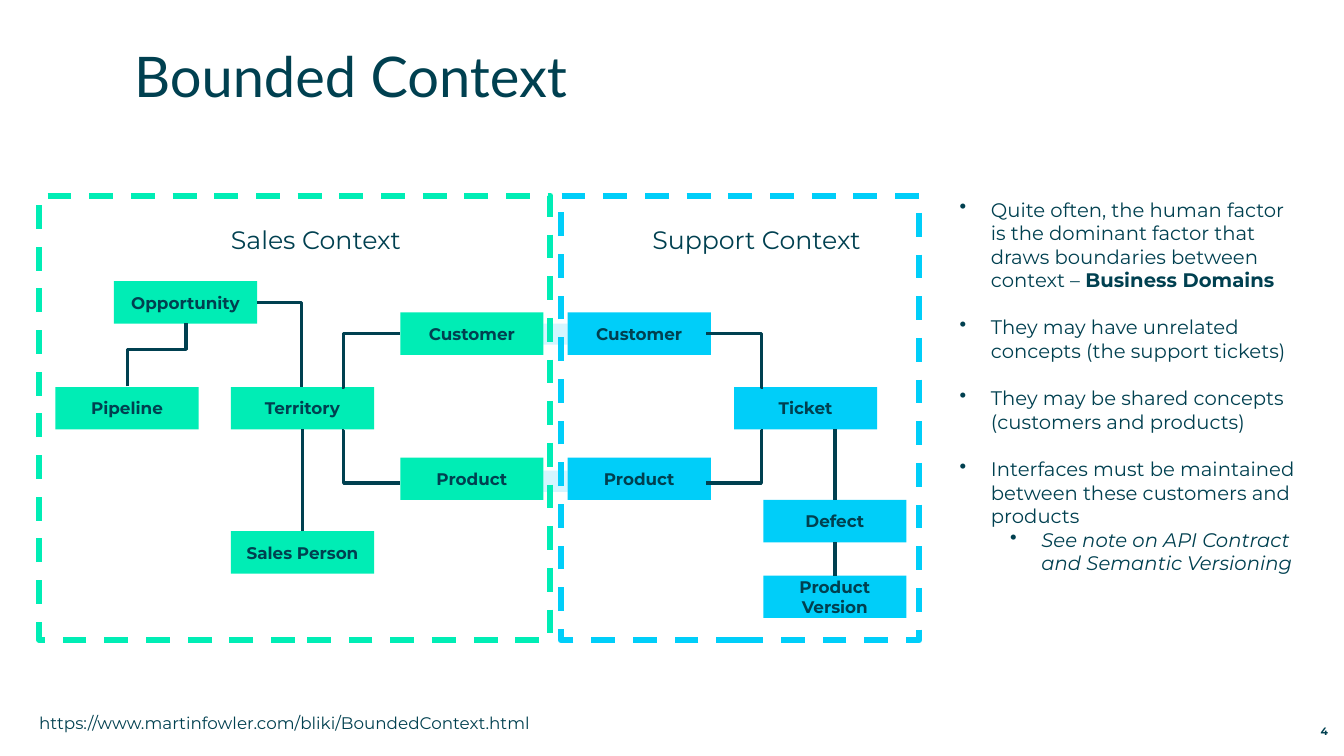
"""Builds the Bounded Context slide with its two context maps."""
import pptx
import pptx.dml.color
import pptx.enum.dml
import pptx.enum.shapes
import pptx.enum.text
import pptx.oxml
import pptx.oxml.ns
import pptx.util

PX = 9144
INK, SALES, SUPPORT, BRIDGE = "004050", "00EDB5", "00CEF9", "D4F6FF"
BOX_W, BOX_H = 142, 42
ALIGN = pptx.enum.text.PP_ALIGN
ANCHOR = pptx.enum.text.MSO_ANCHOR
CONNECTOR = pptx.enum.shapes.MSO_CONNECTOR


def px(*lengths):
    return [length * PX for length in lengths]


def rgb(value):
    return pptx.dml.color.RGBColor.from_string(value)


class ContextSlide:
    def __init__(self, slide, font="Montserrat", ink=INK):
        self.slide, self.font, self.ink = slide, font, ink

    def run(self, paragraph, text, size, bold=False, italic=False, font=None):
        run = paragraph.add_run()
        run.text = text
        run.font.name = font or self.font
        run.font.size = pptx.util.Pt(size)
        run.font.bold, run.font.italic = bold, italic
        run.font.color.rgb = rgb(self.ink)

    def frame(self, shape, inset=True, wrap=True, anchor=ANCHOR.TOP):
        frame = shape.text_frame
        frame.word_wrap, frame.vertical_anchor = wrap, anchor
        frame.auto_size = pptx.enum.text.MSO_AUTO_SIZE.NONE
        if not inset:
            frame.margin_left = frame.margin_right = 0
            frame.margin_top = frame.margin_bottom = 0
        return frame

    def title(self, text, left, top, width, height):
        title = self.slide.shapes.title
        title.left, title.top, title.width, title.height = px(left, top, width, height)
        paragraph = self.frame(title, inset=False).paragraphs[0]
        paragraph.alignment = ALIGN.LEFT
        self.run(paragraph, text, 40, font="Lato")

    def text(self, text, left, top, width, height, size, align=ALIGN.LEFT, bold=False, **frame):
        box = self.slide.shapes.add_textbox(*px(left, top, width, height))
        paragraph = self.frame(box, **frame).paragraphs[0]
        paragraph.alignment = align
        self.run(paragraph, text, size, bold)

    def rect(self, left, top, width, height, fill=None, dash=None):
        rect = self.slide.shapes.add_shape(
            pptx.enum.shapes.MSO_SHAPE.RECTANGLE, *px(left, top, width, height))
        rect.shadow.inherit = False
        if fill:
            rect.fill.solid()
            rect.fill.fore_color.rgb = rgb(fill)
        else:
            rect.fill.background()
        if dash:
            rect.line.color.rgb = rgb(dash)
            rect.line.width = pptx.util.Pt(4.25)
            rect.line.dash_style = pptx.enum.dml.MSO_LINE.DASH
        else:
            rect.line.fill.background()
        return rect

    def concept(self, name, left, top, fill):
        concept = self.rect(left, top, BOX_W, BOX_H, fill)
        paragraph = self.frame(concept, anchor=ANCHOR.MIDDLE).paragraphs[0]
        paragraph.alignment = ALIGN.CENTER
        self.run(paragraph, name, 12, bold=True)
        return concept

    def link(self, kind, *ends):
        link = self.slide.shapes.add_connector(kind, *px(*ends))
        link.line.color.rgb = rgb(self.ink)
        link.line.width = pptx.util.Pt(2.5)
        link._element.spPr.append(pptx.oxml.parse_xml(
            f"<a:effectLst {pptx.oxml.ns.nsdecls('a')}/>"))
        return link

    def elbow(self, *ends, bend=None, turn=0):
        properties = self.link(CONNECTOR.ELBOW, *ends)._element.spPr
        geometry = properties.find(pptx.oxml.ns.qn("a:prstGeom"))
        if bend is None:
            geometry.set("prst", "bentConnector2")
        else:
            guides = geometry.get_or_add_avLst()
            guides.append(pptx.oxml.parse_xml(
                f"<a:gd {pptx.oxml.ns.nsdecls('a')} name='adj1' fmla='val {bend * 1000}'/>"))
        if turn:
            properties.find(pptx.oxml.ns.qn("a:xfrm")).set("rot", str(turn * 60000))

    def bullets(self, points, left, top, width, height):
        box = self.slide.shapes.add_textbox(*px(left, top, width, height))
        frame = self.frame(box)
        for index, (level, runs) in enumerate(points):
            paragraph = frame.add_paragraph() if index else frame.paragraphs[0]
            paragraph.level = level
            properties = paragraph._p.get_or_add_pPr()
            properties.set("marL", str(PX * (31 + 50 * level)))
            properties.set("indent", str(PX * -31))
            properties.append(pptx.oxml.parse_xml(
                f"<a:buChar {pptx.oxml.ns.nsdecls('a')} char='•'/>"))
            if index and not level:
                paragraph.space_before = pptx.util.Pt(17)
            for text, bold, italic in runs:
                self.run(paragraph, text, 14, bold, italic)


def main():
    deck = pptx.Presentation()
    deck.slide_width, deck.slide_height = px(1333, 750)
    page = ContextSlide(deck.slides.add_slide(deck.slide_layouts[5]))
    page.title("Bounded Context", 133, 41, 1159, 57)
    page.text("4", 1231, 712, 86, 20, 7.6, ALIGN.RIGHT, True, inset=False, anchor=ANCHOR.BOTTOM)

    for top in (321, 467):
        page.rect(539, top, 24, 21, BRIDGE)

    concepts = {}
    for context, fill, places in (
        ("Sales", SALES, (("Opportunity", 113, 279), ("Pipeline", 55, 384),
                          ("Territory", 229, 384), ("Sales Person", 229, 527),
                          ("Customer", 397, 310), ("Product", 397, 454))),
        ("Support", SUPPORT, (("Ticket", 728, 384), ("Defect", 757, 496),
                              ("Customer", 563, 310), ("Product", 563, 454),
                              ("Product Version", 757, 571))),
    ):
        for name, left, top in places:
            concepts[context, name] = page.concept(name, left, top, fill)

    page.elbow(187, 381, 124, 323, bend=58.6, turn=90)
    page.elbow(255, 300, 299, 384)
    for hub, shared in ((339, 397), (757, 700)):
        page.elbow(hub, 384, shared, 331, bend=3.3)
        page.elbow(hub, 427, shared, 479, bend=3.3)

    territory_link = page.link(CONNECTOR.STRAIGHT, 300, 426, 300, 527)
    territory_link.begin_connect(concepts["Sales", "Territory"], 2)
    territory_link.end_connect(concepts["Sales", "Sales Person"], 0)
    ticket_link = page.link(CONNECTOR.STRAIGHT, 828, 426, 828, 496)
    ticket_link.end_connect(concepts["Support", "Defect"], 0)
    version_link = page.link(CONNECTOR.STRAIGHT, 828, 538, 828, 571)
    version_link.begin_connect(concepts["Support", "Defect"], 2)
    version_link.end_connect(concepts["Support", "Product Version"], 0)

    for heading, left, width, edge, span, color in (
        ("Sales Context", 229, 142, 39, 507, SALES),
        ("Support Context", 647, 171, 556, 356, SUPPORT),
    ):
        page.text(heading, left, 223, width, 42, 18, inset=False, wrap=False)
        page.rect(edge, 194, span, 441, dash=color)

    page.bullets((
        (0, (("Quite often, the human factor is the dominant factor that draws "
              "boundaries between context – ", False, False),
             ("Business Domains", True, False))),
        (0, (("They may have unrelated concepts (the support tickets)", False, False),)),
        (0, (("They may be shared concepts (customers and products)", False, False),)),
        (0, (("Interfaces must be maintained between these customers and products",
              False, False),)),
        (1, (("See note on API Contract and Semantic Versioning", False, True),)),
    ), 942, 191, 359, 434)
    page.text("https://www.martinfowler.com/bliki/BoundedContext.html", 29, 702, 654, 30, 12)
    deck.save("out.pptx")


if __name__ == "__main__":
    main()
